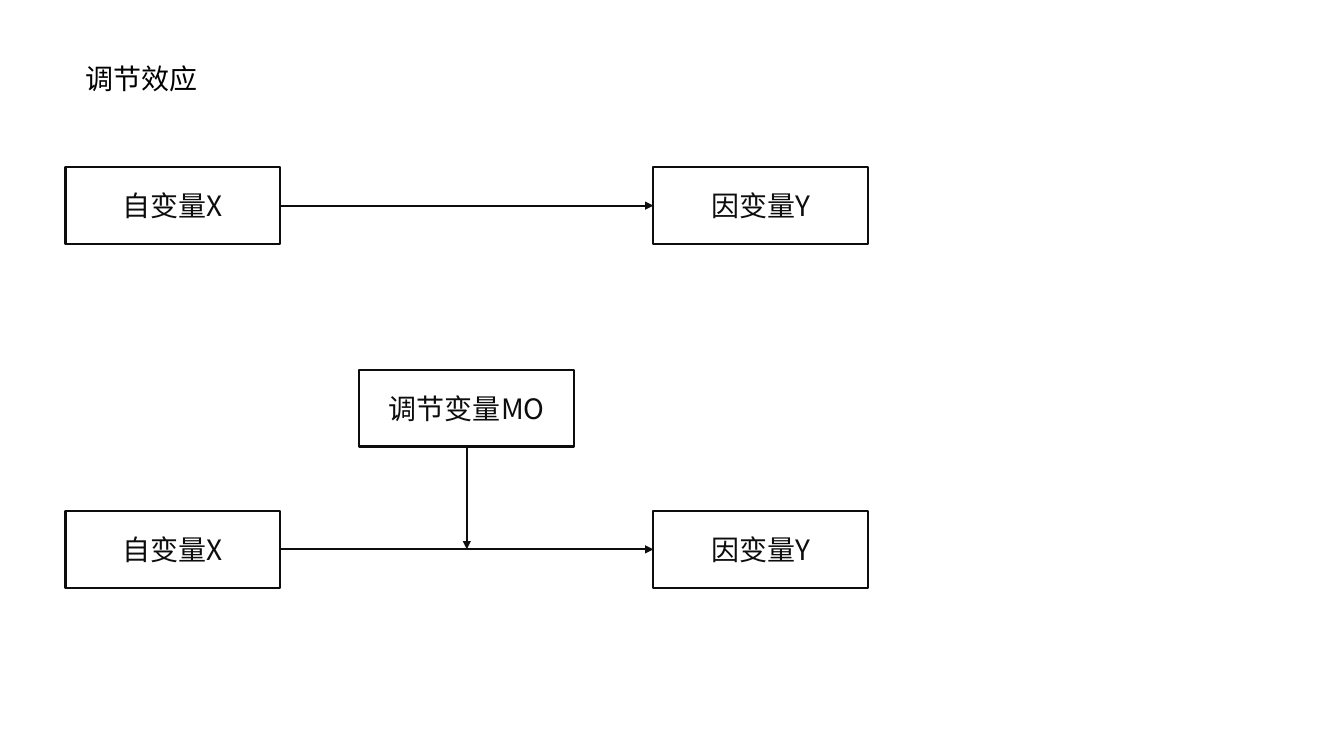
from lxml import etree
from pptx import Presentation
from pptx.dml.color import RGBColor
from pptx.enum.shapes import MSO_CONNECTOR, MSO_SHAPE
from pptx.enum.text import MSO_ANCHOR, MSO_AUTO_SIZE, PP_ALIGN
from pptx.oxml.ns import qn
from pptx.util import Inches, Pt

RECTANGLE = MSO_SHAPE.RECTANGLE
STRAIGHT = MSO_CONNECTOR.STRAIGHT
MIDDLE = MSO_ANCHOR.MIDDLE
CENTER = PP_ALIGN.CENTER
LEFT = PP_ALIGN.LEFT
FIT_SHAPE = MSO_AUTO_SIZE.SHAPE_TO_FIT_TEXT

COLORS = {"title": "000000", "ink": "0D0D0D"}
FONT = {"name": "Noto Sans CJK SC", "size": Pt(20)}
LINE_WIDTH = Pt(1.5)
BOX_WIDTH, BOX_HEIGHT = 2.13, 0.76


def write(frame, text, color, alignment):
    para = frame.paragraphs[0]
    para.alignment = alignment
    span = para.add_run()
    span.text = text
    for attribute, value in FONT.items():
        setattr(span.font, attribute, value)
    span.font.color.rgb = RGBColor.from_string(COLORS[color])
    # Chinese characters take the East Asian typeface
    east_asian = etree.SubElement(span.font._element, qn("a:ea"))
    east_asian.set("typeface", FONT["name"])


def style_line(line):
    line.color.rgb = RGBColor.from_string(COLORS["ink"])
    line.width = LINE_WIDTH


def add_title(page, left, top, width, height, text):
    box = page.shapes.add_textbox(*map(Inches, (left, top, width, height)))
    box.text_frame.word_wrap = False
    box.text_frame.auto_size = FIT_SHAPE
    write(box.text_frame, text, "title", LEFT)


def add_variable(page, left, top, text):
    box = page.shapes.add_shape(
        RECTANGLE, *map(Inches, (left, top, BOX_WIDTH, BOX_HEIGHT)))
    box.shadow.inherit = False
    box.fill.background()
    style_line(box.line)
    box.text_frame.word_wrap = True
    box.text_frame.vertical_anchor = MIDDLE
    write(box.text_frame, text, "ink", CENTER)


def add_arrow(page, start, end):
    arrow = page.shapes.add_connector(STRAIGHT, *map(Inches, start + end))
    style_line(arrow.line)
    head = etree.SubElement(arrow.line._get_or_add_ln(), qn("a:tailEnd"))
    head.set("type", "triangle")
    etree.SubElement(arrow._element.spPr, qn("a:effectLst"))


def add_model(page, left, top, width, moderator=None, rise=1.4):
    """Draw X -> Y across the width, with an optional moderator above."""
    right = left + width - BOX_WIDTH
    axis = top + BOX_HEIGHT / 2
    add_variable(page, left, top, "自变量X")
    add_variable(page, right, top, "因变量Y")
    add_arrow(page, (left + BOX_WIDTH, axis), (right, axis))
    if moderator:
        center = left + width / 2
        add_variable(page, center - BOX_WIDTH / 2, top - rise, moderator)
        add_arrow(page, (center, top - rise + BOX_HEIGHT), (center, axis))


def main():
    deck = Presentation()
    deck.slide_width, deck.slide_height = Inches(13.33), Inches(7.5)
    page = deck.slides.add_slide(deck.slide_layouts[6])

    # Heading
    add_title(page, 0.75, 0.56, 1.31, 0.44, "调节效应")
    # Direct effect, then the moderated effect
    add_model(page, 0.65, 1.66, 7.96)
    add_model(page, 0.65, 5.07, 7.96, "调节变量MO")

    deck.save("out.pptx")


if __name__ == "__main__":
    main()
